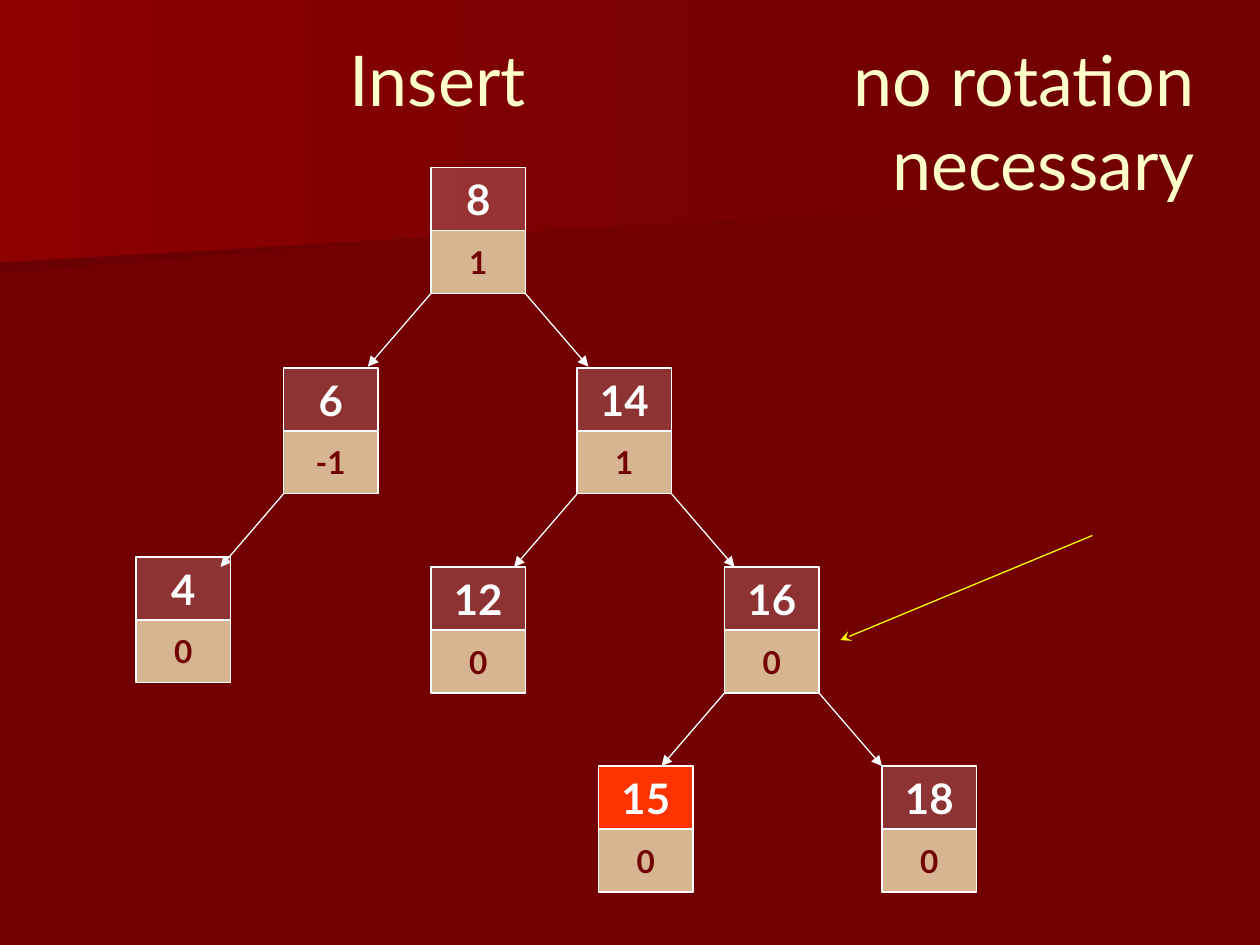
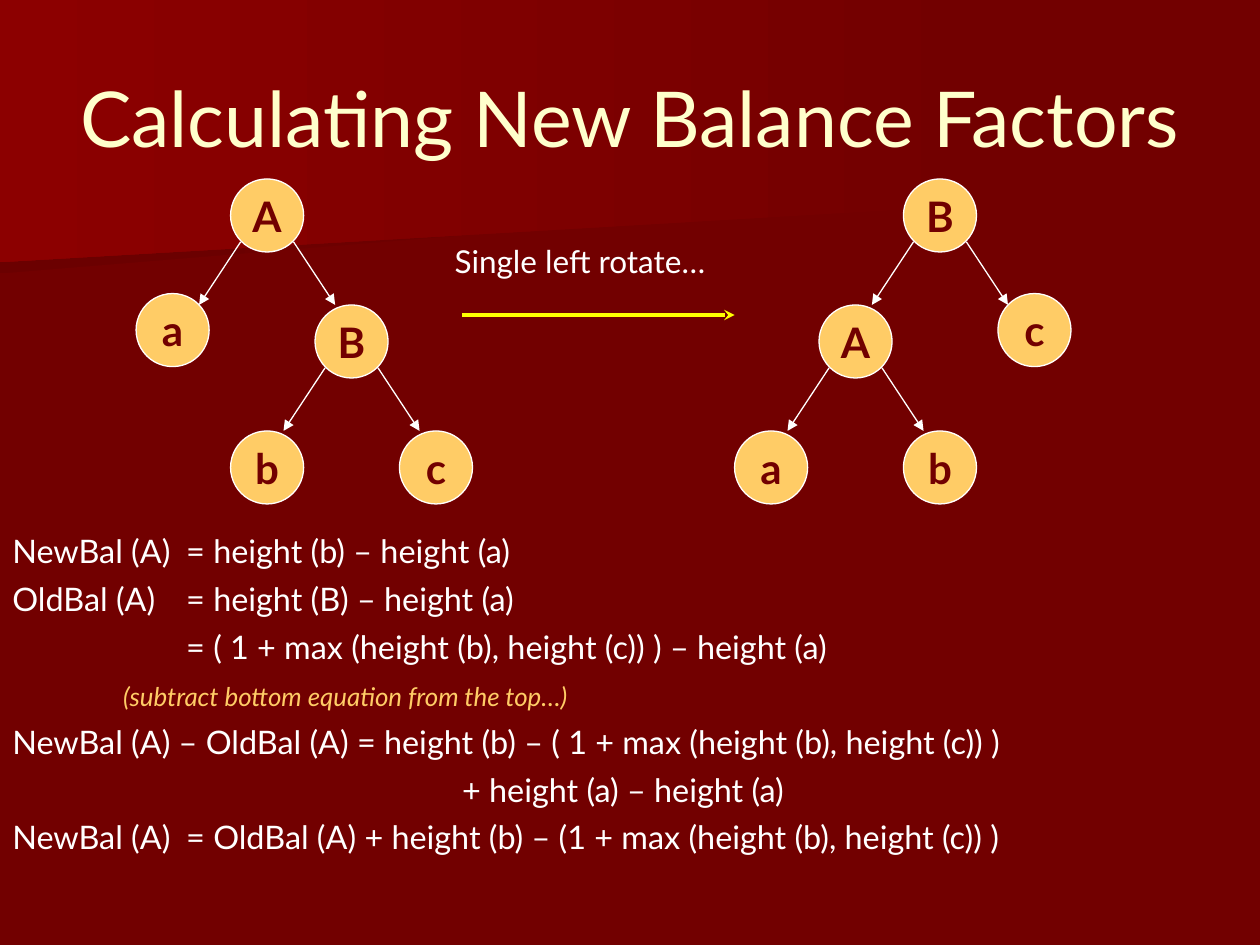
from pptx import Presentation
from pptx.dml.color import RGBColor
from pptx.enum.shapes import MSO_CONNECTOR, MSO_SHAPE
from pptx.enum.text import MSO_ANCHOR, PP_ALIGN
from pptx.oxml.ns import qn
from pptx.util import Inches, Pt
from lxml import etree

# Shared style
FONT = "Lato"
DARK, WHITE, CREAM = "720000", "FFFFFF", "FFFFCC"
GOLD, YELLOW, RED = "FFCC66", "FFFF00", "FF3300"
RECT, OVAL = MSO_SHAPE.RECTANGLE, MSO_SHAPE.OVAL
STRAIGHT = MSO_CONNECTOR.STRAIGHT
LEFT, MID, RIGHT = PP_ALIGN.LEFT, PP_ALIGN.CENTER, PP_ALIGN.RIGHT
TOP, CENTER = MSO_ANCHOR.TOP, MSO_ANCHOR.MIDDLE
BANDS = [
    ([(0, 1.01), (7.79, 1.01), (7.78, 1.53), (0, 2.17)], "6B0000"),
    ([(0, 0), (7.92, 0), (7.92, 1.62), (0, 2.08)], "8C0000"),
]

# Key, balance, left, top, branches, fill of the key
NODES = [
    ("8", "1", 3.42, 1.33, "LR", None),
    ("6", "-1", 2.25, 2.92, "L", None),
    ("14", "1", 4.58, 2.92, "LR", None),
    ("4", "0", 1.08, 4.42, "", None),
    ("12", "0", 3.42, 4.5, "", None),
    ("16", "0", 5.75, 4.5, "LR", None),
    ("15", "0", 4.75, 6.08, "", RED),
    ("18", "0", 7, 6.08, "", None),
]

# Left, top, branches of the tree before the rotation
SPOTS = [
    (1.83, 1.42, True),
    (1.08, 2.33, False),
    (2.5, 2.42, True),
    (1.83, 3.42, False),
    (3.17, 3.42, False),
]

# Text, indent where the line does not hang
STEPS = [
    ("NewBal (A)\t= height (b) – height (a)", None),
    ("OldBal (A)\t= height (B) – height (a)", None),
    ("\t\t\t= ( 1 + max (height (b), height (c)) ) – height (a)", None),
    ("\t\t(subtract bottom equation from the top…)", None),
    ("NewBal (A) – OldBal (A) = height (b) – "
     "( 1 + max (height (b), height (c)) )", None),
    ("+ height (a) – height (a)", 3.57),
    ("NewBal (A)\t= OldBal (A) + height (b) – "
     "(1 + max (height (b), height (c)) )", None),
]


def rgb(code):
    return RGBColor.from_string(code)


def style(font, size, color, bold=False, italic=False):
    font.name = FONT
    font.size = Pt(size)
    font.bold = bold
    font.italic = italic
    font.color.rgb = rgb(color)


def add_tabs(para):
    """Put a tab stop at every inch."""
    tabs = etree.SubElement(para._p.get_or_add_pPr(), qn("a:tabLst"))
    for inch in range(8):
        etree.SubElement(tabs, qn("a:tab"), pos=str(Inches(inch)), algn="l")


def add_box(slide, x, y, w, h, anchor=TOP, wrap=True):
    box = slide.shapes.add_textbox(Inches(x), Inches(y), Inches(w), Inches(h))
    frame = box.text_frame
    frame.word_wrap = wrap
    frame.vertical_anchor = anchor
    return frame


def add_text(slide, text, x, y, w, h, size, color, align=LEFT,
             anchor=TOP, wrap=True):
    para = add_box(slide, x, y, w, h, anchor, wrap).paragraphs[0]
    para.text = text
    para.alignment = align
    add_tabs(para)
    style(para.font, size, color)


def add_title(slide, text, x, y, size, align):
    add_text(slide, text, x, y, 9, 1.25, size, CREAM, align, CENTER)


def add_cell(slide, kind, text, x, y, w, h, fill, size, color, alpha=100):
    """Draw a labelled shape with a thin white outline."""
    cell = slide.shapes.add_shape(
        kind, Inches(x), Inches(y), Inches(w), Inches(h))
    cell.shadow.inherit = False
    cell.fill.solid()
    cell.fill.fore_color.rgb = rgb(fill)
    if alpha < 100:
        paint = cell._element.spPr.find(qn("a:solidFill"))[0]
        etree.SubElement(paint, qn("a:alpha"), val=str(alpha * 1000))
    cell.line.color.rgb = rgb(WHITE)
    cell.line.width = Pt(0.75)
    frame = cell.text_frame
    frame.word_wrap = False
    frame.vertical_anchor = CENTER
    para = frame.paragraphs[0]
    para.text = text
    para.alignment = MID
    style(para.font, size, color, bold=True)


def add_arrow(slide, x, y, dx, dy, color=WHITE, width=0.75, head="triangle"):
    arrow = slide.shapes.add_connector(
        STRAIGHT, Inches(x), Inches(y), Inches(x + dx), Inches(y + dy))
    arrow.line.color.rgb = rgb(color)
    arrow.line.width = Pt(width)
    props = arrow._element.spPr
    etree.SubElement(props.find(qn("a:ln")), qn("a:tailEnd"), type=head)
    etree.SubElement(props, qn("a:effectLst"))


def add_node(slide, key, bal, x, y, sides, fill):
    """Draw a key over its balance, with arrows to its children."""
    add_cell(slide, RECT, key, x, y, 0.75, 0.5, fill or WHITE, 24, WHITE,
             100 if fill else 20)
    add_cell(slide, RECT, bal, x, y + 0.5, 0.75, 0.5, CREAM, 18, DARK, 71)
    if "L" in sides:
        add_arrow(slide, x, y + 1, -0.5, 0.58)
    if "R" in sides:
        add_arrow(slide, x + 0.75, y + 1, 0.5, 0.58)


def add_tree(slide, names, flip=False):
    """Draw five circles; flip mirrors the tree to the right half."""
    for name, (x, y, forks) in zip(names, SPOTS):
        left = 9 - x if flip else x
        add_cell(slide, OVAL, name, left, y, 0.58, 0.58, GOLD, 24, DARK)
        if forks:
            add_arrow(slide, left + 0.08, y + 0.5, -0.33, 0.5)
            add_arrow(slide, left + 0.5, y + 0.5, 0.33, 0.5)


def add_steps(slide):
    frame = add_box(slide, 0, 4.17, 10, 3)
    for i, (text, indent) in enumerate(STEPS):
        para = frame.paragraphs[0] if i == 0 else frame.add_paragraph()
        props = para._p.get_or_add_pPr()
        props.set("marL", str(Inches(indent or 0.38)))
        props.set("indent", str(0 if indent else Inches(-0.38)))
        if i:
            para.space_before = Pt(5)
        add_tabs(para)
        note = text.lstrip("\t")
        if note.startswith("(subtract"):
            lead, aside = para.add_run(), para.add_run()
            lead.text, aside.text = text[:-len(note)], note
            style(lead.font, 18.5, WHITE)
            style(aside.font, 14.8, GOLD, italic=True)
        else:
            para.add_run().text = text
            style(para.font, 18.5, WHITE)


def add_slide(deck):
    """Start a blank slide with the two shaded bands."""
    slide = deck.slides.add_slide(deck.slide_layouts[6])
    for points, shade in BANDS:
        spots = [(Inches(x), Inches(y)) for x, y in points]
        form = slide.shapes.build_freeform(*spots[0])
        form.add_line_segments(spots[1:], close=True)
        band = form.convert_to_shape()
        band.shadow.inherit = False
        band.line.fill.background()
        band.fill.gradient()
        band.fill.gradient_angle = 180
        for stop, color in zip(band.fill.gradient_stops, (DARK, shade)):
            stop.color.rgb = rgb(color)
    return slide


def main():
    deck = Presentation()
    deck.slide_width, deck.slide_height = Inches(10), Inches(7.5)
    back = deck.slide_master.background.fill
    back.solid()
    back.fore_color.rgb = rgb(DARK)

    # Insert without rotation
    slide = add_slide(deck)
    add_title(slide, "Insert\t\t\tno rotation\vnecessary",
              0.58, 0.33, 40, RIGHT)
    for node in NODES:
        add_node(slide, *node)
    add_arrow(slide, 8.67, 4.25, -2, 0.83, YELLOW, head="stealth")

    # Balance factors after a left rotation
    slide = add_slide(deck)
    add_title(slide, "Calculating New Balance Factors", 0.5, 0.3, 44, MID)
    add_steps(slide)
    add_tree(slide, "AaBbc")
    add_tree(slide, "BcAba", flip=True)
    add_arrow(slide, 3.67, 2.5, 2.16, 0, YELLOW, 2, "stealth")
    add_text(slide, "Single left rotate…", 3.51, 1.87, 2.34, 0.4,
             18, WHITE, wrap=False)

    deck.save("out.pptx")


if __name__ == "__main__":
    main()
